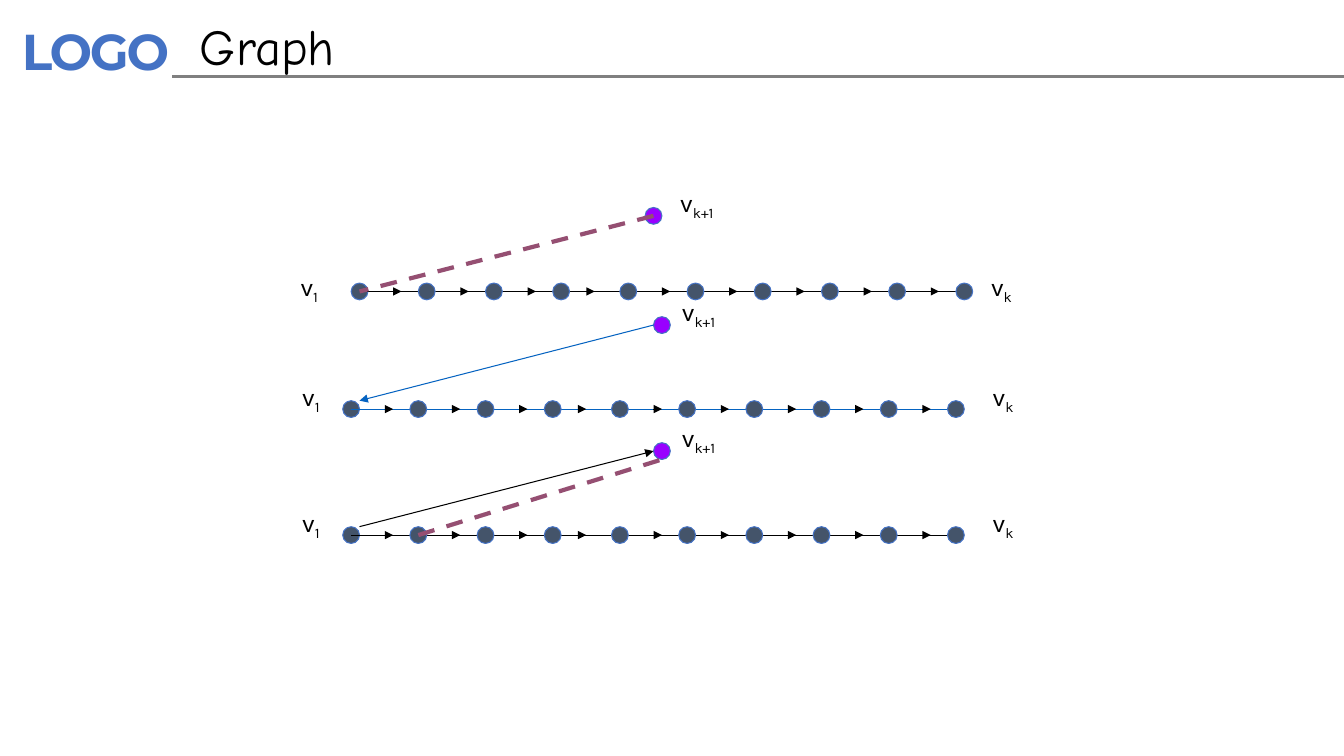
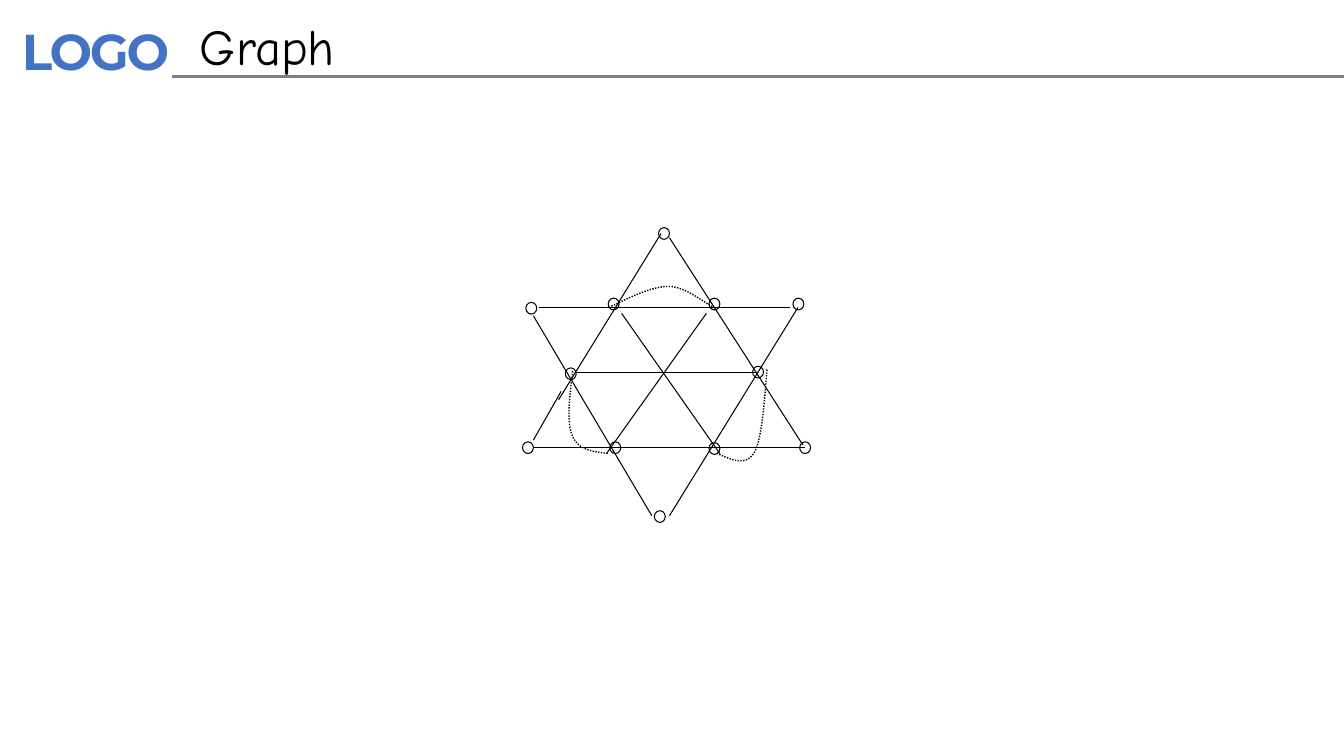
from dataclasses import dataclass
from itertools import chain
from typing import NamedTuple

from lxml.etree import SubElement
from pptx import Presentation
from pptx.dml.color import RGBColor
from pptx.enum.dml import MSO_LINE
from pptx.enum.shapes import MSO_CONNECTOR, MSO_SHAPE
from pptx.enum.text import MSO_ANCHOR, MSO_AUTO_SIZE, PP_ALIGN
from pptx.oxml.ns import qn
from pptx.util import Emu, Pt

EMU_PER_PX = 7620  # 120 px to the inch


@dataclass(frozen=True)
class Theme:
    black: str = "000000"
    grey: str = "808080"
    accent: str = "4472C4"
    node: str = "44546A"
    new_node: str = "9900FF"
    blue: str = "0563C1"
    plum: str = "954F72"
    logo_font: str = "Montserrat"
    title_font: str = "Comic Neue"
    label_font: str = "Karla"
    title_size: int = 36
    label_size: int = 18
    thin: float = 0.75
    dotted: float = 1
    rule: float = 2
    bold: float = 3


THEME = Theme()


class Point(NamedTuple):
    x: int
    y: int


class Box(NamedTuple):
    x: int
    y: int
    w: int
    h: int


@dataclass(frozen=True)
class Stroke:
    color: str = THEME.black
    width: float = THEME.thin
    dash: MSO_LINE | None = None
    arrow: str = ""  # "head" or "tail"


THIN = Stroke()
OUTLINE = Stroke(THEME.accent)
ARROW = Stroke(arrow="tail")
DASHED = Stroke(THEME.plum, THEME.bold, MSO_LINE.DASH)
DOTTED = Stroke(width=THEME.dotted, dash=MSO_LINE.ROUND_DOT)


class Edge(NamedTuple):
    start: Point
    end: Point
    stroke: Stroke = THIN


@dataclass(frozen=True)
class VertexPath:
    """A row of vertices v1 to vk, with the added vertex above it."""
    first: Point
    added: Point
    label_x: int
    label_y: int
    links: tuple[Edge, ...]
    spine: Stroke = THIN


NODE_COUNT, NODE_GAP, NODE_SIZE = 10, 80, 20
ARROW_START, ARROW_LENGTH = 40, 10
EARLY_GAP, EARLY_SHIFT = 3, 10  # the fourth arrow sits a little nearer its node
LABEL_H = 60

PATHS = (
    VertexPath(Point(428, 347), Point(778, 257), 346, 317,
               (Edge(Point(778, 257), Point(428, 347), DASHED),)),
    VertexPath(Point(418, 487), Point(788, 387), 348, 448,
               (Edge(Point(778, 387), Point(428, 477), Stroke(THEME.blue, arrow="tail")),),
               Stroke(THEME.blue)),
    VertexPath(Point(418, 637), Point(788, 537), 348, 598,
               (Edge(Point(778, 537), Point(428, 627), Stroke(arrow="head")),
                Edge(Point(498, 637), Point(788, 547), DASHED))),
)

STAR_EDGES = (
    Edge(Point(685, 444), Point(900, 444)),
    Edge(Point(950, 366), Point(797, 614)),
    Edge(Point(787, 278), Point(665, 476)),
    Edge(Point(642, 366), Point(940, 366)),
    Edge(Point(635, 533), Point(958, 533)),
    Edge(Point(668, 466), Point(635, 524)),
    Edge(Point(635, 376), Point(776, 614)),
    Edge(Point(797, 283), Point(956, 530)),
    Edge(Point(740, 373), Point(857, 540)),
    Edge(Point(841, 373), Point(722, 540)),
)
STAR_VERTICES = (
    Point(784, 271),
    Point(626, 360), Point(724, 355), Point(844, 355), Point(944, 355),
    Point(673, 438), Point(896, 436),
    Point(622, 526), Point(726, 526), Point(844, 527), Point(952, 526),
    Point(779, 608),
)
VERTEX_W, VERTEX_H = 13, 14
# Each arc is a start followed by three points per cubic segment.
STAR_ARCS = (
    (Point(725, 366), Point(750, 354), Point(775, 341), Point(796, 341),
     Point(817, 341), Point(840, 362), Point(850, 366)),
    (Point(913, 440), Point(910, 481), Point(907, 522), Point(898, 539),
     Point(887, 556), Point(870, 547), Point(852, 539)),
    (Point(682, 442), Point(678, 473), Point(674, 504), Point(682, 520),
     Point(689, 536), Point(707, 538), Point(725, 540)),
)
ARC_STEPS = 16


def px(value: float) -> Emu:
    return Emu(round(value * EMU_PER_PX))


def rgb(color: str) -> RGBColor:
    return RGBColor.from_string(color)


def apply_stroke(line, stroke: Stroke) -> None:
    line.color.rgb = rgb(stroke.color)
    line.width = Pt(stroke.width)
    if stroke.dash is not None:
        line.dash_style = stroke.dash


def add_edge(shapes, edge: Edge) -> None:
    start, end, stroke = edge
    c = shapes.add_connector(MSO_CONNECTOR.STRAIGHT, px(start.x), px(start.y), px(end.x), px(end.y))
    apply_stroke(c.line, stroke)
    sp_pr = c._element.spPr
    if stroke.arrow:
        SubElement(sp_pr.find(qn("a:ln")), qn(f"a:{stroke.arrow}End"), type="triangle")
    SubElement(sp_pr, qn("a:effectLst"))


def add_ellipse(shapes, box: Box, stroke: Stroke, fill: str = "") -> None:
    sp = shapes.add_shape(MSO_SHAPE.OVAL, *map(px, box))
    sp.shadow.inherit = False
    apply_stroke(sp.line, stroke)
    if fill:
        sp.fill.solid()
        sp.fill.fore_color.rgb = rgb(fill)
    else:
        sp.fill.background()


def add_node(shapes, centre: Point, fill: str = THEME.node) -> None:
    half = NODE_SIZE // 2
    add_ellipse(shapes, Box(centre.x - half, centre.y - half, NODE_SIZE, NODE_SIZE), OUTLINE, fill)


def format_run(r, font: str, size: int, color: str = THEME.black) -> None:
    r.font.name = font
    r.font.size = Pt(size)
    r.font.color.rgb = rgb(color)


def add_label(shapes, box: Box, subscript: str, wrap: bool = False) -> None:
    """Write a v with a subscript."""
    tf = shapes.add_textbox(*map(px, box)).text_frame
    tf.word_wrap = wrap
    p = tf.paragraphs[0]
    for text in ("v", subscript):
        r = p.add_run()
        r.text = text
        format_run(r, THEME.label_font, THEME.label_size)
    p.runs[1].font._element.set("baseline", "-25000")


def cubic_points(a: Point, b: Point, c: Point, d: Point) -> list[tuple[Emu, Emu]]:
    """Sample a cubic curve after its start, in EMU."""
    points = []
    for step in range(1, ARC_STEPS + 1):
        t = step / ARC_STEPS
        weights = ((1 - t) ** 3, 3 * t * (1 - t) ** 2, 3 * t * t * (1 - t), t ** 3)
        x, y = (sum(w * v for w, v in zip(weights, values)) for values in zip(a, b, c, d))
        points.append((px(x), px(y)))
    return points


def add_arc(shapes, arc: tuple[Point, ...]) -> None:
    builder = shapes.build_freeform(px(arc[0].x), px(arc[0].y))
    segments = (cubic_points(*arc[i:i + 4]) for i in range(0, len(arc) - 1, 3))
    builder.add_line_segments(list(chain.from_iterable(segments)), close=False)
    sp = builder.convert_to_shape()
    sp.shadow.inherit = False
    sp.fill.background()
    apply_stroke(sp.line, DOTTED)


def add_titled_slide(prs, title: str):
    """Add a slide with the logo text, the header rule and a title."""
    s = prs.slides.add_slide(prs.slide_layouts.get_by_name("Title Only"))
    tf = s.shapes.add_textbox(*map(px, Box(10, 16, 223, 89))).text_frame
    tf.word_wrap = True
    tf.margin_left = tf.margin_right = px(16)
    tf.margin_top = tf.margin_bottom = px(8)
    tf.text = "LOGO"
    r = tf.paragraphs[0].runs[0]
    format_run(r, THEME.logo_font, THEME.title_size, THEME.accent)
    r.font.bold = True
    r.font._element.set("spc", "-150")
    add_edge(s.shapes, Edge(Point(205, 91), Point(1600, 91), Stroke(THEME.grey, THEME.rule)))

    sp = s.shapes.title
    sp.left, sp.top, sp.width, sp.height = map(px, Box(226, 12, 1034, 85))
    tf = sp.text_frame
    tf.text = title
    tf.auto_size = MSO_AUTO_SIZE.NONE
    tf.vertical_anchor = MSO_ANCHOR.TOP
    p = tf.paragraphs[0]
    p.alignment = PP_ALIGN.LEFT
    format_run(p.runs[0], THEME.title_font, THEME.title_size)
    return s


def draw_path(shapes, path: VertexPath) -> None:
    x, y = path.first
    nodes = [Point(x + i * NODE_GAP, y) for i in range(NODE_COUNT)]
    add_node(shapes, nodes[0])
    add_edge(shapes, Edge(nodes[0], nodes[-1], path.spine))
    for node in nodes[1:]:
        add_node(shapes, node)
    for i, node in enumerate(nodes[:-1]):
        start = node.x + ARROW_START - (EARLY_SHIFT if i == EARLY_GAP else 0)
        add_edge(shapes, Edge(Point(start, y), Point(start + ARROW_LENGTH, y), ARROW))
    add_node(shapes, path.added, THEME.new_node)
    for link in path.links:
        add_edge(shapes, link)
    add_label(shapes, Box(path.label_x, path.label_y, 59, LABEL_H), "1")
    add_label(shapes, Box(path.label_x + 822, path.label_y, 58, LABEL_H), "k")
    add_label(shapes, Box(path.label_x + 452, path.added.y - 40, 120, LABEL_H), "k+1", wrap=True)


def draw_star(shapes) -> None:
    for edge in STAR_EDGES:
        add_edge(shapes, edge)
    for vertex in STAR_VERTICES:
        add_ellipse(shapes, Box(*vertex, VERTEX_W, VERTEX_H), THIN)
    for arc in STAR_ARCS:
        add_arc(shapes, arc)


def main() -> None:
    prs = Presentation()
    prs.slide_width, prs.slide_height = px(1600), px(900)
    s = add_titled_slide(prs, "Graph")
    for path in PATHS:
        draw_path(s.shapes, path)
    s = add_titled_slide(prs, "Graph")
    draw_star(s.shapes.add_group_shape().shapes)
    prs.save("out.pptx")


if __name__ == "__main__":
    main()
